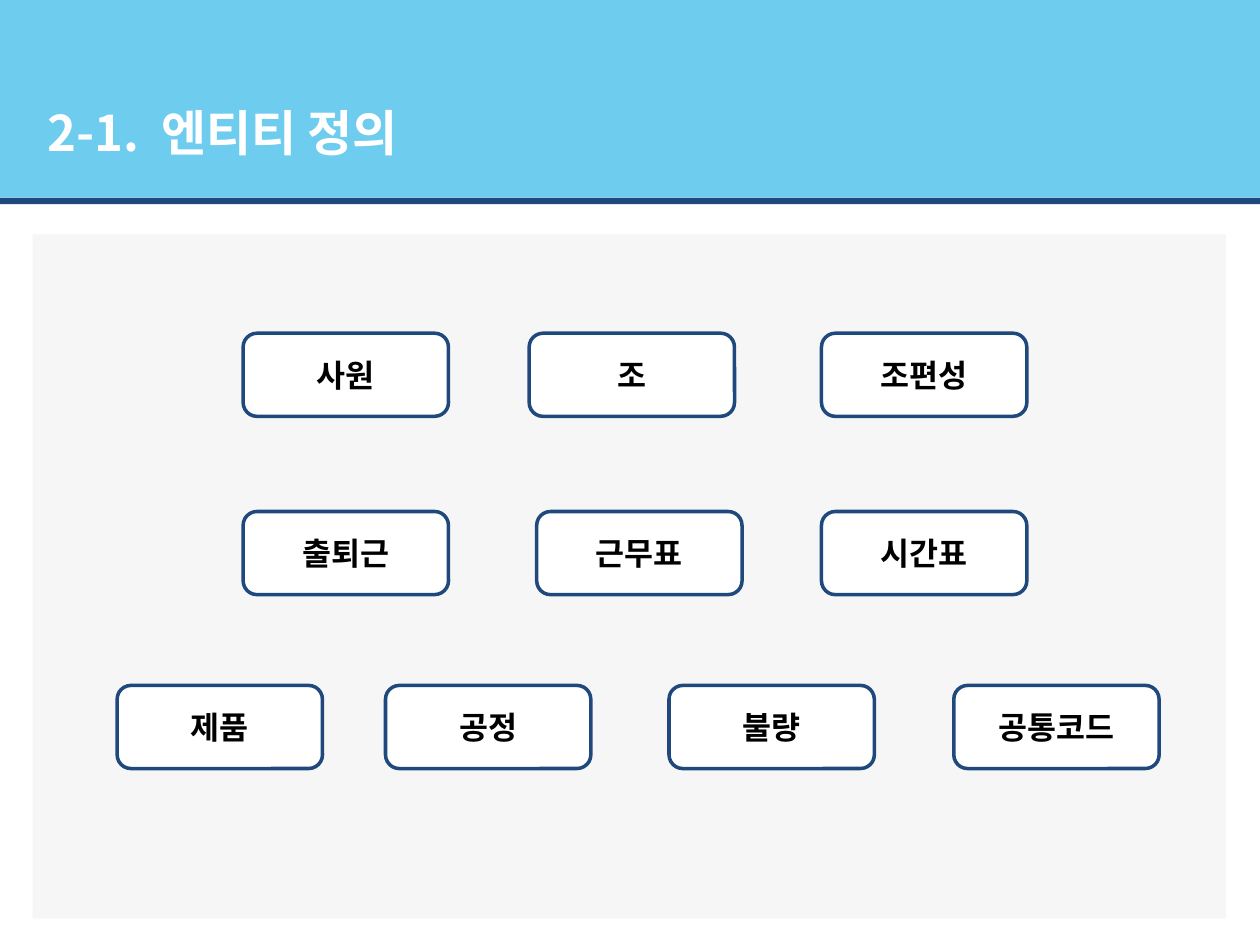
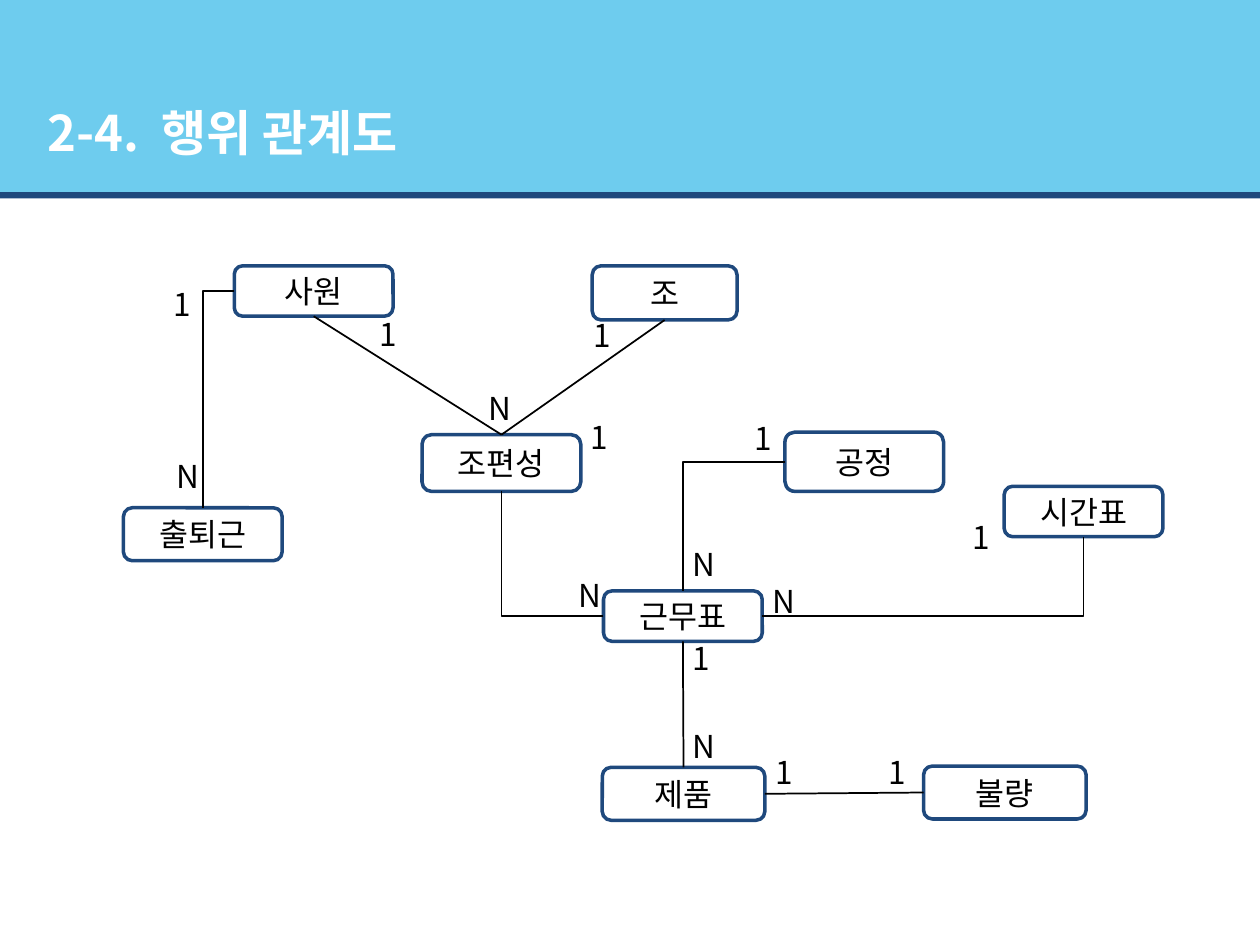
"""Build the entity definition and behaviour relationship slides."""
from lxml.etree import SubElement
from pptx import Presentation
from pptx.dml.color import RGBColor
from pptx.enum.shapes import MSO_CONNECTOR, MSO_SHAPE
from pptx.enum.text import MSO_ANCHOR, MSO_AUTO_SIZE, PP_ALIGN
from pptx.oxml.ns import qn
from pptx.util import Inches, Pt

C = {"band": "6ECCEE", "navy": "1F497D", "panel": "F6F6F6", "white": "FFFFFF", "black": "000000"}
FONT = "Noto Sans CJK KR"
TOP, LEFT, BOTTOM, RIGHT = range(4)

prs = Presentation()
prs.slide_width, prs.slide_height = Inches(10), Inches(7.5)
COL, ROW = prs.slide_width // 100, prs.slide_height // 75


def box(s, shape, x, y, w, h, fill, line=None):
    """Add a filled shape placed in grid columns and rows."""
    sp = s.shapes.add_shape(shape, int(x * COL), int(y * ROW), int(w * COL), int(h * ROW))
    sp.shadow.inherit = False
    sp.fill.solid()
    sp.fill.fore_color.rgb = RGBColor.from_string(C[fill])
    if line:
        sp.line.color.rgb = RGBColor.from_string(C[line])
        sp.line.width = Pt(2)
    else:
        sp.line.fill.background()
    return sp


def write(tf, parts, size=18, bold=False, color="black", align=PP_ALIGN.CENTER):
    """Fill the first paragraph with formatted runs."""
    p = tf.paragraphs[0]
    p.alignment = align
    for part in parts:
        r = p.add_run()
        r.text = part
        r.font.size, r.font.bold, r.font.name = Pt(size), bold, FONT
        r.font.color.rgb = RGBColor.from_string(C[color])
        SubElement(r.font._element, qn("a:ea"), typeface=FONT)
    return p


slides = []
for number, name, band_h in [("2-1.", "엔티티 정의", 15.7), ("2-4.", "행위 관계도", 15.25)]:
    s = prs.slides.add_slide(prs.slide_layouts[5])
    box(s, MSO_SHAPE.RECTANGLE, 0, 0, 100, band_h, "band")
    box(s, MSO_SHAPE.RECTANGLE, 0, band_h, 100, 0.5, "navy")
    title = s.shapes.title
    title.left, title.top = int(2.8 * COL), int(7.6 * ROW)
    title.width, title.height = int(38.6 * COL), int(5.7 * ROW)
    tf = title.text_frame
    tf.auto_size, tf.vertical_anchor, tf.word_wrap = MSO_AUTO_SIZE.NONE, MSO_ANCHOR.TOP, True
    p = write(tf, [number, " ", name], 28, True, "white", PP_ALIGN.LEFT)
    p.runs[1].font._element.set("spc", "630")
    s.shapes._spTree.append(title._element)
    slides.append(s)

s = slides[0]
box(s, MSO_SHAPE.RECTANGLE, 2.6, 18.6, 94.7, 54.3, "panel")
entity_rows = [
    (26.45, [("사원", 19.3), ("조", 42), ("조편성", 65.2)]),
    (40.6, [("출퇴근", 19.3), ("근무표", 42.6), ("시간표", 65.2)]),
    (54.4, [("제품", 9.3), ("공정", 30.6), ("불량", 53.1), ("공통코드", 75.7)]),
]
for y, entities in entity_rows:
    for name, x in entities:
        sp = box(s, MSO_SHAPE.ROUNDED_RECTANGLE, x, y, 16.3, 6.6, "white", "navy")
        write(sp.text_frame, [name], bold=True)

s = slides[1]
entities = [
    ("사원", 18.6, 21.1, 12.6, 4),
    ("조", 47, 21.1, 11.5, 4.3),
    ("조편성", 33.5, 34.5, 12.6, 4.5),
    ("공정", 62.3, 34.3, 12.6, 4.7),
    ("근무표", 47.9, 46.9, 12.6, 4),
    ("시간표", 79.7, 38.6, 12.6, 4),
    ("출퇴근", 9.8, 40.3, 12.6, 4.2),
    ("제품", 47.8, 60.9, 12.9, 4.2),
    ("불량", 73.3, 60.8, 12.9, 4.2),
]
nodes = {}
for name, x, y, w, h in entities:
    nodes[name] = box(s, MSO_SHAPE.ROUNDED_RECTANGLE, x, y, w, h, "white", "navy")
    write(nodes[name].text_frame, [name])

relations = [
    ("사원", LEFT, "출퇴근", TOP, True),
    ("사원", BOTTOM, "조편성", TOP, False),
    ("조", BOTTOM, "조편성", TOP, False),
    ("근무표", LEFT, "조편성", BOTTOM, True),
    ("공정", LEFT, "근무표", TOP, True),
    ("근무표", RIGHT, "시간표", BOTTOM, True),
    ("근무표", BOTTOM, "제품", TOP, False),
    ("불량", LEFT, "제품", RIGHT, False),
]
for start, start_side, end, end_side, bent in relations:
    kind = MSO_CONNECTOR.ELBOW if bent else MSO_CONNECTOR.STRAIGHT
    cxn = s.shapes.add_connector(kind, 0, 0, 0, 0)
    cxn.begin_connect(nodes[start], start_side)
    cxn.end_connect(nodes[end], end_side)
    cxn.line.color.rgb = RGBColor.from_string(C["black"])
    cxn.line.width = Pt(1)
    spPr = cxn._element.spPr
    SubElement(spPr, qn("a:effectLst"))
    if bent:
        spPr.find(qn("a:prstGeom")).set("prst", "bentConnector2")

cardinalities = {
    "1": [(12.8, 22.1), (29.1, 24.5), (46.1, 24.6), (45.9, 32.7), (58.9, 32.8),
          (76.2, 40.6), (60.6, 59.3), (69.5, 59.3), (54, 50.2)],
    "N": [(13, 35.8), (37.8, 30.4), (54, 42.8), (54, 57.2), (44.9, 45.2), (60.3, 45.7)],
}
for mark, spots in cardinalities.items():
    for x, y in spots:
        tb = s.shapes.add_textbox(int(x * COL), int(y * ROW), int(3.9 * COL), 4 * ROW)
        tb.text_frame.word_wrap = True
        write(tb.text_frame, [mark], align=PP_ALIGN.LEFT)

prs.save("out.pptx")
